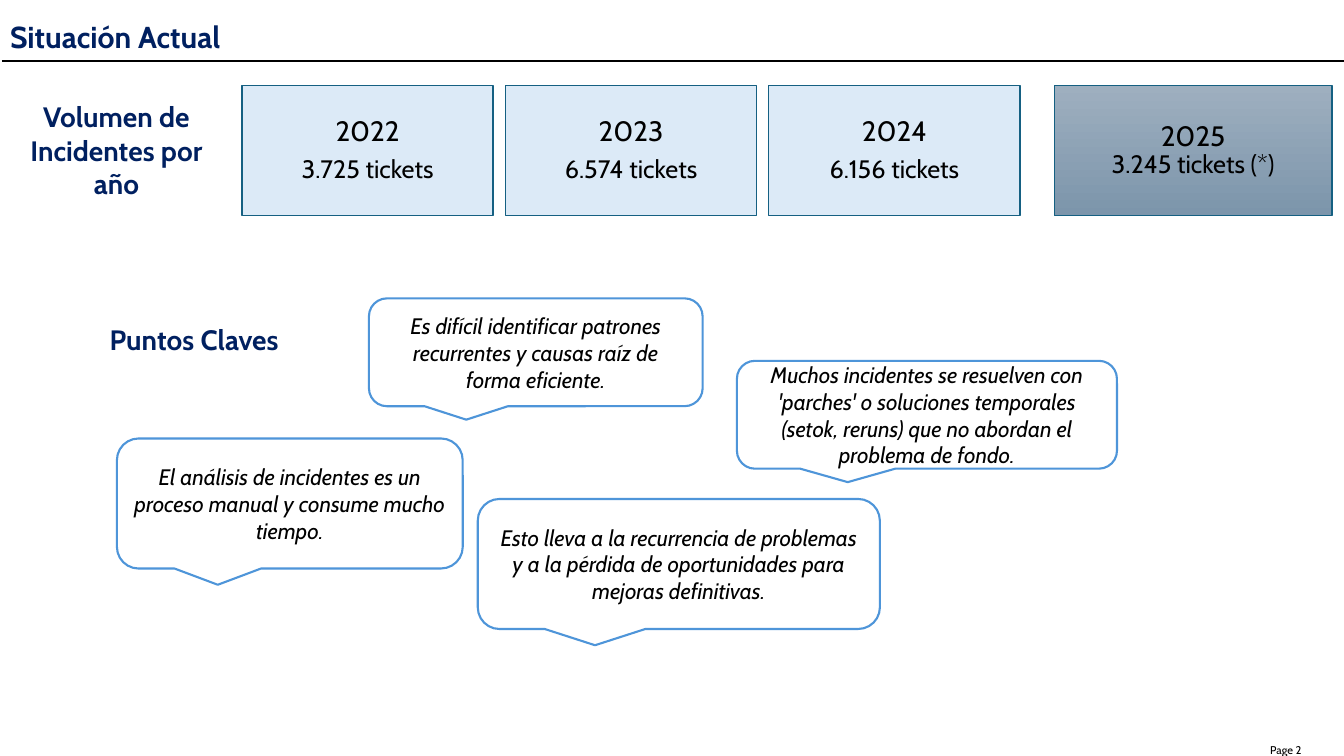
from pptx import Presentation, util as u
from pptx.dml.color import RGBColor
from pptx.enum import shapes, text
from pptx.oxml.ns import qn
from lxml import etree

FONT = "Cabin"
NAVY, BLACK, WHITE = "002060", "000000", "FFFFFF"
PALE, TEAL, BLUE = "DCEAF7", "156082", "4E95D9"

prs = Presentation()
prs.slide_width, prs.slide_height = u.Inches(13.33), u.Inches(7.5)


def color(target, hex_value):
    target.rgb = RGBColor.from_string(hex_value)


def area(x, y, w, h):
    """Turn percentages of the slide into left, top, width, height."""
    sw, sh = prs.slide_width, prs.slide_height
    return [int(share * side / 100) for share, side in zip((x, y, w, h), (sw, sh, sw, sh))]


def style(p, size, hex_value=BLACK, bold=False, italic=False, align=text.PP_ALIGN.CENTER):
    p.alignment = align
    f = p.font
    f.name, f.size, f.bold, f.italic = FONT, u.Pt(size), bold, italic
    color(f.color, hex_value)


def add_title(s, words):
    sp = s.shapes.title
    sp.left, sp.top, sp.width, sp.height = area(0, 2.93, 79.13, 4.93)
    tf = sp.text_frame
    tf.text = words
    tf.auto_size = text.MSO_AUTO_SIZE.NONE
    tf.vertical_anchor = text.MSO_ANCHOR.MIDDLE
    style(tf.paragraphs[0], 21.6, NAVY, bold=True, align=text.PP_ALIGN.LEFT)
    tf.paragraphs[0].line_spacing = 0.7


def add_label(s, box, words, size, **looks):
    tf = s.shapes.add_textbox(*area(*box)).text_frame
    tf.word_wrap = True
    tf.text = words
    style(tf.paragraphs[0], size, **looks)


def add_rule(s, y):
    x1, y1, w, _ = area(0.15, y, 99.85, 0)
    line = s.shapes.add_connector(shapes.MSO_CONNECTOR.STRAIGHT, x1, y1, x1 + w, y1)
    color(line.line.color, BLACK)
    line.line.width = u.Pt(1.5)
    etree.SubElement(line._element.spPr, qn("a:effectLst"))


def add_box(s, kind, box, fill, outline, weight):
    sp = s.shapes.add_shape(kind, *area(*box))
    sp.shadow.inherit = False
    sp.fill.solid()
    color(sp.fill.fore_color, fill)
    color(sp.line.color, outline)
    sp.line.width = u.Pt(weight)
    tf = sp.text_frame
    tf.word_wrap = True
    tf.vertical_anchor = text.MSO_ANCHOR.MIDDLE
    return sp


def add_year(s, x, w):
    sp = add_box(s, shapes.MSO_SHAPE.RECTANGLE, (x, 11.33, w, 17.2), PALE, TEAL, 1)
    tf = sp.text_frame
    tf.margin_left = tf.margin_right = tf.margin_top = tf.margin_bottom = u.Inches(0.08)
    return sp


def space_year(p, size):
    style(p, size)
    p.line_spacing = 0.9
    p.space_after = u.Pt(0.35 * size)


def add_full_year(s, x, year, tickets):
    tf = add_year(s, x, 18.7).text_frame
    tf.text = f"{year}\n{tickets}"
    for p, size in zip(tf.paragraphs, (20, 18)):
        space_year(p, size)


def add_current_year(s, x, year, tickets):
    sp = add_year(s, x, 20.65)
    sp.fill.gradient()
    sp.fill.gradient_angle = 270
    for stop, shade in zip(sp.fill.gradient_stops, ("9EAFBF", "7C95AB")):
        color(stop.color, shade)
    p = sp.text_frame.paragraphs[0]
    space_year(p, 20)
    p.add_run().text = year
    p.add_line_break()
    r = p.add_run()
    r.text = tickets
    r.font.size = u.Pt(18)


def add_callout(s, box, words):
    sp = add_box(s, shapes.MSO_SHAPE.ROUNDED_RECTANGULAR_CALLOUT, box, WHITE, BLUE, 1.5)
    sp.text_frame.text = words
    style(sp.text_frame.paragraphs[0], 16, italic=True)


def main():
    s = prs.slides.add_slide(prs.slide_layouts[5])

    # Header and page number
    add_title(s, "Situación Actual")
    add_rule(s, 8.13)
    add_label(s, (93.77, 97.6, 7.35, 3.73), "Page 2", 8, align=text.PP_ALIGN.LEFT)

    # Incidents per year
    add_label(s, (1.35, 12.53, 14.63, 14.8), "Volumen de Incidentes por año", 20,
              hex_value=NAVY, bold=True)
    years = [("2022", "3.725 tickets"), ("2023", "6.574 tickets"), ("2024", "6.156 tickets")]
    for i, (year, tickets) in enumerate(years):
        add_full_year(s, 18 + 19.6 * i, year, tickets)
    add_current_year(s, 78.45, "2025", "3.245 tickets (*)")

    # Key points
    add_label(s, (5.03, 42, 18.83, 5.87), "Puntos Claves", 20, hex_value=NAVY, bold=True)
    low, high = 14.27, 17.2
    points = [
        ((54.83, 47.73, 28.28, low), "Muchos incidentes se resuelven con 'parches' o soluciones "
         "temporales (setok, reruns) que no abordan el problema de fondo."),
        ((35.55, 66, 29.92, high), "Esto lleva a la recurrencia de problemas y a la pérdida de "
         "oportunidades para mejoras definitivas."),
        ((27.45, 39.47, 24.83, low), "Es difícil identificar patrones recurrentes y causas raíz "
         "de forma eficiente."),
        ((8.7, 58, 25.73, high), "El análisis de incidentes es un proceso manual y consume "
         "mucho tiempo."),
    ]
    for box, words in points:
        add_callout(s, box, words)

    prs.save("out.pptx")


if __name__ == "__main__":
    main()
